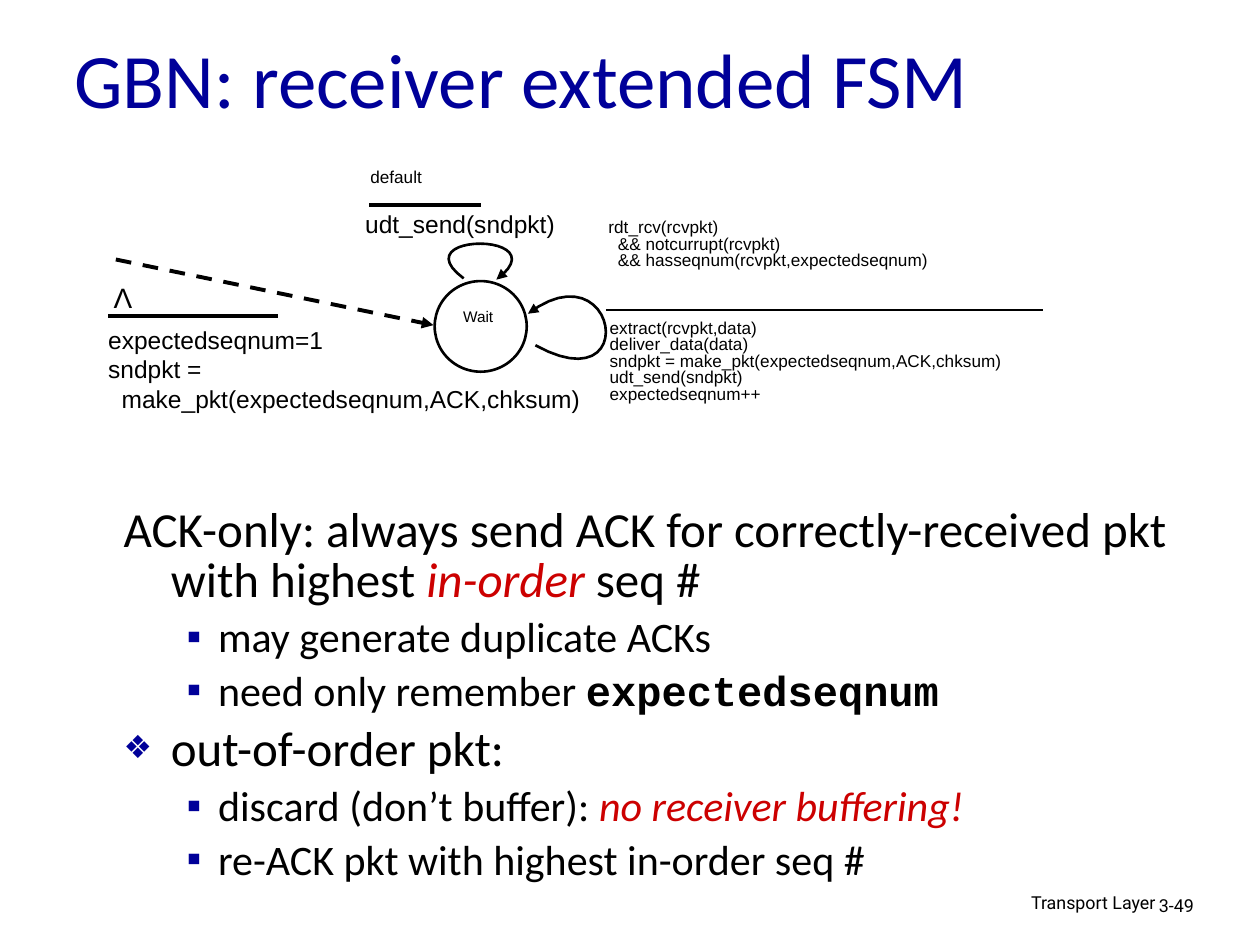
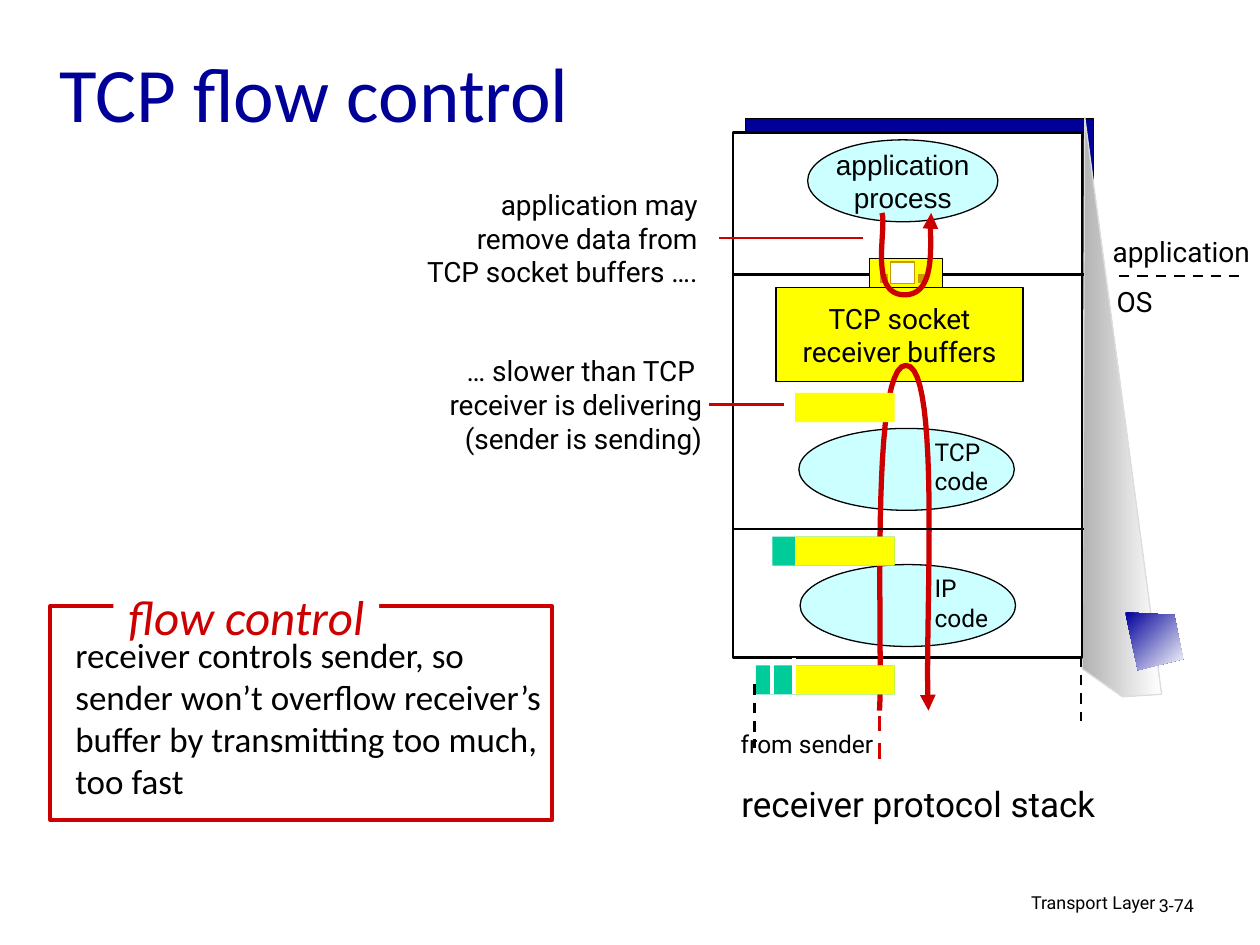
from dataclasses import dataclass

from lxml.etree import SubElement
from pptx import Presentation
from pptx.dml.color import RGBColor
from pptx.enum.dml import MSO_LINE
from pptx.enum.shapes import MSO_CONNECTOR, MSO_SHAPE
from pptx.enum.text import MSO_ANCHOR, MSO_AUTO_SIZE, PP_ALIGN
from pptx.oxml.ns import qn
from pptx.util import Pt


@dataclass(frozen=True)
class Theme:
    navy: str = "000099"
    red: str = "CC0000"
    black: str = "000000"
    white: str = "FFFFFF"
    yellow: str = "FFFF00"
    teal: str = "00CC99"
    ice: str = "CCFFFF"
    gold: str = "CC9900"
    grey: str = "B2B2B2"
    edge: str = "DDDDDD"
    heading: str = "Calibri"
    diagram: str = "Arial"
    label: str = "Roboto"
    code: str = "Courier New"
    title: float = 44
    body: float = 28
    sub: float = 24
    lead: float = 20
    note: float = 16
    small: float = 14
    fsm: float = 9.8
    state: float = 8.8
    footer: float = 10.2


T = Theme()
CENTER, RIGHT = PP_ALIGN.CENTER, PP_ALIGN.RIGHT
RED_ITALIC = {"color": T.red, "italic": True}
FSM = {"font": T.diagram, "size": T.fsm, "spacing": 0.8}
ACTION = {"font": T.diagram, "size": T.small}
NOTE = {"font": T.label, "size": T.note}
TIGHT = {"align": CENTER, "wrap": False}
CODE_LABEL = {"font": T.label, "size": T.small, "wrap": False}

# ---- Receiver FSM: boxes are (left, top, width, height) in points
FSM_TITLE = ("GBN: receiver extended FSM", (35.3, 16.6, 612, 55.4))
RULES_BOX = (63.4, 286.6, 641.5, 224.6)
RULES = [  # level, bullet, runs
    (0, None, ["ACK-only: always send ACK for correctly-received pkt with highest ",
               ("in-order", RED_ITALIC), " seq #"]),
    (1, "▪", ["may generate duplicate ACKs"]),
    (1, "▪", ["need only remember ", ("expectedseqnum", {"font": T.code, "bold": True})]),
    (0, "❖", ["out-of-order pkt:"]),
    (1, "▪", ["discard (don’t buffer): ", ("no receiver buffering!", RED_ITALIC)]),
    (1, "▪", ["re-ACK pkt with highest in-order seq #"]),
]
RULE_LEVELS = [  # size, left margin, hanging indent, space before
    (T.body, 27, -27, 7),
    (T.sub, 54, -18, 6),
]
WAIT_STATE = (248.4, 160.6, 52.6, 51.8)
FSM_LABELS = [  # a leading tab indents the line
    ((242, 174.2, 62.6, 18.7), ["Wait"], {**FSM, "size": T.state, "align": CENTER}),
    ((201.6, 115.9, 127.4, 24.5), ["udt_send(sndpkt)"], ACTION),
    ((204.5, 93.6, 56.9, 19.4), ["default"], FSM),
    ((340.6, 122.4, 280.8, 44.6),
     ["rdt_rcv(rcvpkt)", "\t&& notcurrupt(rcvpkt)",
      "\t&& hasseqnum(rcvpkt,expectedseqnum)"], FSM),
    ((341.3, 180, 339.8, 67.7),
     ["extract(rcvpkt,data)", "deliver_data(data)",
      "sndpkt = make_pkt(expectedseqnum,ACK,chksum)",
      "udt_send(sndpkt)", "expectedseqnum++"], FSM),
    ((54.7, 182.2, 286.6, 77),
     ["expectedseqnum=1", "sndpkt =", "\tmake_pkt(expectedseqnum,ACK,chksum)"], ACTION),
    ((57.6, 157, 25.2, 26.6), ["Λ"], {"font": T.diagram, "size": T.note, **TIGHT}),
]
FSM_LINES = [
    ((66.2, 148.3, 247.7, 185.8), {"weight": 2.25, "dash": True, "arrow": True}),
    ((211, 117.4, 275, 117.4), {"weight": 2.25}),
    ((346.3, 177.1, 596.2, 177.1), {}),
    ((61.9, 180.7, 159.1, 180.7), {"weight": 2.25}),
]
SELF_LOOPS = [  # start, then three Bézier points per segment
    [(306, 197.3), (367.2, 231.1), (352.8, 140.4), (301.7, 179.3)],
    [(265, 159.1), (229, 132.5), (320.4, 132.5), (283.7, 159.8)],
]

# ---- TCP flow control
FLOW_TITLE = ("TCP flow control", (26.6, 13.7, 612, 77))
HOST_SHADOW = (426.2, 67.7, 198.7, 303.8)
HOST = (419, 75.6, 199.4, 300.2)
FUNNEL = [(663.8, 396.7), (619.9, 67), (618.5, 382.3), (641.5, 398.2)]
HOST_ICON = [(643, 349.9), (671, 351.4), (676.1, 376.6), (650.2, 383)]
APP_PROCESS = ((461.5, 79.9, 108.7, 46.8), ["application", "process"])
BUFFER = ((443.5, 164.2, 141.1, 54), ["TCP socket", "receiver buffers"])
CODE_OVALS = [("TCP", 456.5, 244.8), ("IP", 457.2, 322.6)]
DIVIDERS = [157, 302.4]
DOOR = [
    ((496.8, 147.6, 41.8, 16.6), T.yellow, T.black),
    ((509, 149.8, 13.7, 12.2), T.white, T.gold),
    ((503.3, 157, 3.6, 4.3), T.gold, T.gold),
    ((524.9, 157, 3.6, 4.3), T.gold, T.gold),
]
STACK_PATH = [(502.6, 406.1), (504.7, 373), (496.8, 208.8), (517.7, 208.8),
              (538.6, 208.8), (527.8, 365), (530.6, 406.1)]
READ_PATH = [(504, 121.7), (506.9, 131), (496.1, 168.5), (517, 168.5),
             (537.8, 168.5), (529.9, 129.6), (532.1, 121.7)]
DATA_LEFT, PACKET_RIGHT, PACKET_H = 454.3, 511.3, 16.6
PACKETS = [(454.3, 224.6), (441.4, 306.7), (432, 380.2)]  # header left, top
FLOW_LINES = [
    ((441.4, 380.2, 441.4, 396.7), {"color": T.white, "weight": 2.25}),
    ((453.6, 375.8, 453.6, 396.7), {"color": T.white, "weight": 2.25}),
    ((639.4, 157.7, 707.8, 157.7), {"dash": True}),
    ((411.1, 136.1, 493.2, 136.1), {"color": T.red}),
    ((405.4, 231.1, 447.8, 231.1), {"color": T.red}),
    ((502.6, 409, 502.6, 436.3), {"color": T.red, "weight": 2.25, "dash": True}),
    ((431.3, 391, 431.3, 427.7), {"dash": True}),
    ((617.8, 375.1, 617.8, 411.8), {"dash": True}),
]
FLOW_LABELS = [
    ((626.4, 130.3, 97.2, 26.6), ["application"], {**NOTE, **TIGHT}),
    ((630.7, 159.1, 35.3, 26.6), ["OS"], {**NOTE, **TIGHT}),
    ((411.1, 443.5, 227.5, 31.7), ["receiver protocol stack"],
     {"font": T.label, "size": T.lead, **TIGHT}),
    ((158.4, 103.7, 251.3, 64.8),
     ["application may ", "remove data from ", "TCP socket buffers …. "],
     {**NOTE, "align": RIGHT}),
    ((244.1, 198.7, 164.2, 84.2),
     ["… slower than TCP ", "receiver is delivering", "(sender is sending)"],
     {**NOTE, "align": RIGHT}),
    ((413.3, 413.3, 95.8, 24.5), ["from sender"], {**CODE_LABEL, "align": CENTER}),
]
DEFINITION_FRAME = (28.8, 346.3, 286.6, 122.4)
DEFINITION = ((36, 358.6, 283, 127.4),
              ["receiver controls sender, so sender won’t overflow receiver’s "
               "buffer by transmitting too much, too fast"])
TERM = ((64.8, 337.7, 151.9, 28.1), ["flow control"])

FOOTER = "Transport Layer"
FOOTER_BOX, NUMBER_BOX = (439.2, 507.6, 228.2, 22.3), (655.2, 509, 53.3, 21.6)


def pts(values):
    return [Pt(v) for v in values]


def rgb(color):
    return RGBColor.from_string(color)


def style_run(r, font, size, color=T.black, bold=False, italic=False):
    for name, value in {"name": font, "size": Pt(size), "bold": bold, "italic": italic}.items():
        setattr(r.font, name, value)
    r.font.color.rgb = rgb(color)


def write(tf, lines, font, size, align=PP_ALIGN.LEFT, spacing=1.0, wrap=True,
          anchor=MSO_ANCHOR.TOP, **run_format):
    for name, value in {"word_wrap": wrap, "vertical_anchor": anchor,
                        "auto_size": MSO_AUTO_SIZE.NONE}.items():
        setattr(tf, name, value)
    for i, line in enumerate(lines):
        p = tf.add_paragraph() if i else tf.paragraphs[0]
        p.alignment, p.line_spacing = align, spacing
        if line.startswith("\t"):
            p._p.get_or_add_pPr().set("marL", str(Pt(0.55 * size)))
        r = p.add_run()
        r.text = line.lstrip("\t")
        style_run(r, font, size, **run_format)


def add_label(s, box, lines, fmt):
    write(s.shapes.add_textbox(*pts(box)).text_frame, lines, **fmt)


def outline(line, color, weight=0.75, dash=False, arrow=False):
    if color is None:
        line.fill.background()
        return
    line.color.rgb = rgb(color)
    line.width = Pt(weight)
    if dash:
        line.dash_style = MSO_LINE.DASH
    if arrow:
        SubElement(line._get_or_add_ln(), qn("a:tailEnd"), type="triangle")


def add_box(s, box, fill, line=None, weight=0.75, kind=MSO_SHAPE.RECTANGLE):
    sp = s.shapes.add_shape(kind, *pts(box))
    sp.shadow.inherit = False
    sp.fill.solid()
    sp.fill.fore_color.rgb = rgb(fill)
    outline(sp.line, line, weight)
    return sp


def add_line(s, ends, color=T.black, weight=1.5, **fmt):
    cx = s.shapes.add_connector(MSO_CONNECTOR.STRAIGHT, *pts(ends))
    outline(cx.line, color, weight, **fmt)
    SubElement(cx._element.spPr, qn("a:effectLst"))


def add_freeform(s, points, close):
    points = [pts(pt) for pt in points]
    fb = s.shapes.build_freeform(*points[0])
    fb.add_line_segments(points[1:], close=close)
    sp = fb.convert_to_shape()
    sp.shadow.inherit = False
    return sp


def add_arrow_curve(s, nodes, color, weight, steps=24):
    """Trace joined cubic Bézier segments and end them in an arrowhead."""
    points = [nodes[0]]
    for k in range(0, len(nodes) - 1, 3):
        for i in range(1, steps + 1):
            t = i / steps
            blend = ((1 - t) ** 3, 3 * t * (1 - t) ** 2, 3 * t * t * (1 - t), t ** 3)
            points.append([sum(b * n[axis] for b, n in zip(blend, nodes[k:k + 4]))
                           for axis in (0, 1)])
    sp = add_freeform(s, points, close=False)
    sp.fill.background()
    outline(sp.line, color, weight, arrow=True)


def add_gradient_shape(s, points, start, angle, line=None):
    sp = add_freeform(s, points, close=True)
    sp.fill.gradient()
    sp.fill.gradient_angle = angle
    for stop, color in zip(sp.fill.gradient_stops, (start, T.white)):
        stop.color.rgb = rgb(color)
    outline(sp.line, line)


def place(sp, box):
    for name, value in zip(("left", "top", "width", "height"), pts(box)):
        setattr(sp, name, value)


def new_slide(prs, layout, title, number):
    s = prs.slides.add_slide(prs.slide_layouts.get_by_name(layout))
    text, box = title
    place(s.shapes.title, box)
    write(s.shapes.title.text_frame, [text], T.heading, T.title,
          color=T.navy, anchor=MSO_ANCHOR.MIDDLE)
    fmt = {"font": T.label, "size": T.footer, "spacing": 0.9}
    add_label(s, FOOTER_BOX, [FOOTER], {**fmt, "align": RIGHT})
    add_label(s, NUMBER_BOX, [number], fmt)
    return s


def set_bullet(pPr, bullet):
    if bullet is None:
        SubElement(pPr, qn("a:buNone"))
        return
    SubElement(SubElement(pPr, qn("a:buClr")), qn("a:srgbClr"), val=T.navy)
    if bullet == "❖":
        SubElement(pPr, qn("a:buSzPct"), val="65000")
    SubElement(pPr, qn("a:buChar"), char=bullet)


def write_rules(sp):
    place(sp, RULES_BOX)
    tf = sp.text_frame
    tf.auto_size = MSO_AUTO_SIZE.NONE
    for i, (level, bullet, runs) in enumerate(RULES):
        size, margin, indent, before = RULE_LEVELS[level]
        p = tf.add_paragraph() if i else tf.paragraphs[0]
        for name, value in {"level": level, "line_spacing": 0.85,
                            "space_before": Pt(before)}.items():
            setattr(p, name, value)
        pPr = p._p.get_or_add_pPr()
        pPr.set("marL", str(Pt(margin)))
        pPr.set("indent", str(Pt(indent)))
        set_bullet(pPr, bullet)
        for item in runs:
            text, fmt = (item, {}) if isinstance(item, str) else item
            r = p.add_run()
            r.text = text
            style_run(r, **{"font": T.heading, "size": size, **fmt})


def build_fsm(prs):
    s = new_slide(prs, "Title and Content", FSM_TITLE, "3-49")
    write_rules(s.placeholders[1])
    add_box(s, WAIT_STATE, T.white, T.black, 1.5, MSO_SHAPE.OVAL)
    for ends, fmt in FSM_LINES:
        add_line(s, ends, **fmt)
    for loop in SELF_LOOPS:
        add_arrow_curve(s, loop, T.black, 1.5)
    for label in FSM_LABELS:
        add_label(s, *label)


def build_flow_control(prs):
    s = new_slide(prs, "Title Only", FLOW_TITLE, "3-74")
    middle = {**TIGHT, "anchor": MSO_ANCHOR.MIDDLE}
    add_box(s, HOST_SHADOW, T.navy, T.black)
    add_gradient_shape(s, FUNNEL, T.grey, 0, T.edge)
    add_box(s, HOST, T.white, T.black, 1.5)
    box, lines = APP_PROCESS
    sp = add_box(s, box, T.ice, T.black, kind=MSO_SHAPE.OVAL)
    write(sp.text_frame, lines, T.diagram, T.note, **middle)
    box, lines = BUFFER
    write(add_box(s, box, T.yellow, T.black).text_frame, lines, **NOTE, **middle)
    for name, left, top in CODE_OVALS:
        add_box(s, (left, top, 123.1, 46.8), T.ice, T.black, kind=MSO_SHAPE.OVAL)
        add_label(s, (527, top + 1.4, 46.1, 41), [name, "code"], CODE_LABEL)
    add_arrow_curve(s, STACK_PATH, T.red, 3)
    for y in DIVIDERS:
        add_line(s, (HOST[0], y, HOST[0] + HOST[2] + 1, y))
    for part in DOOR:
        add_box(s, *part)
    add_arrow_curve(s, READ_PATH, T.red, 3)
    for left, top in PACKETS:
        if left < DATA_LEFT:
            add_box(s, (left, top, PACKET_RIGHT - left, PACKET_H), T.teal)
        add_box(s, (DATA_LEFT, top, PACKET_RIGHT - DATA_LEFT, PACKET_H), T.yellow)
    for ends, fmt in FLOW_LINES:
        add_line(s, ends, **fmt)
    for label in FLOW_LABELS:
        add_label(s, *label)
    add_box(s, DEFINITION_FRAME, T.white, T.red, 2.25)
    add_label(s, *DEFINITION, {"font": T.heading, "size": T.lead})
    box, lines = TERM
    write(add_box(s, box, T.white).text_frame, lines, T.heading, T.body, **RED_ITALIC, **middle)
    add_gradient_shape(s, HOST_ICON, T.navy, 315)


def main():
    prs = Presentation()
    prs.slide_width, prs.slide_height = Pt(720), Pt(540)
    build_fsm(prs)
    build_flow_control(prs)
    prs.save("out.pptx")


if __name__ == "__main__":
    main()
